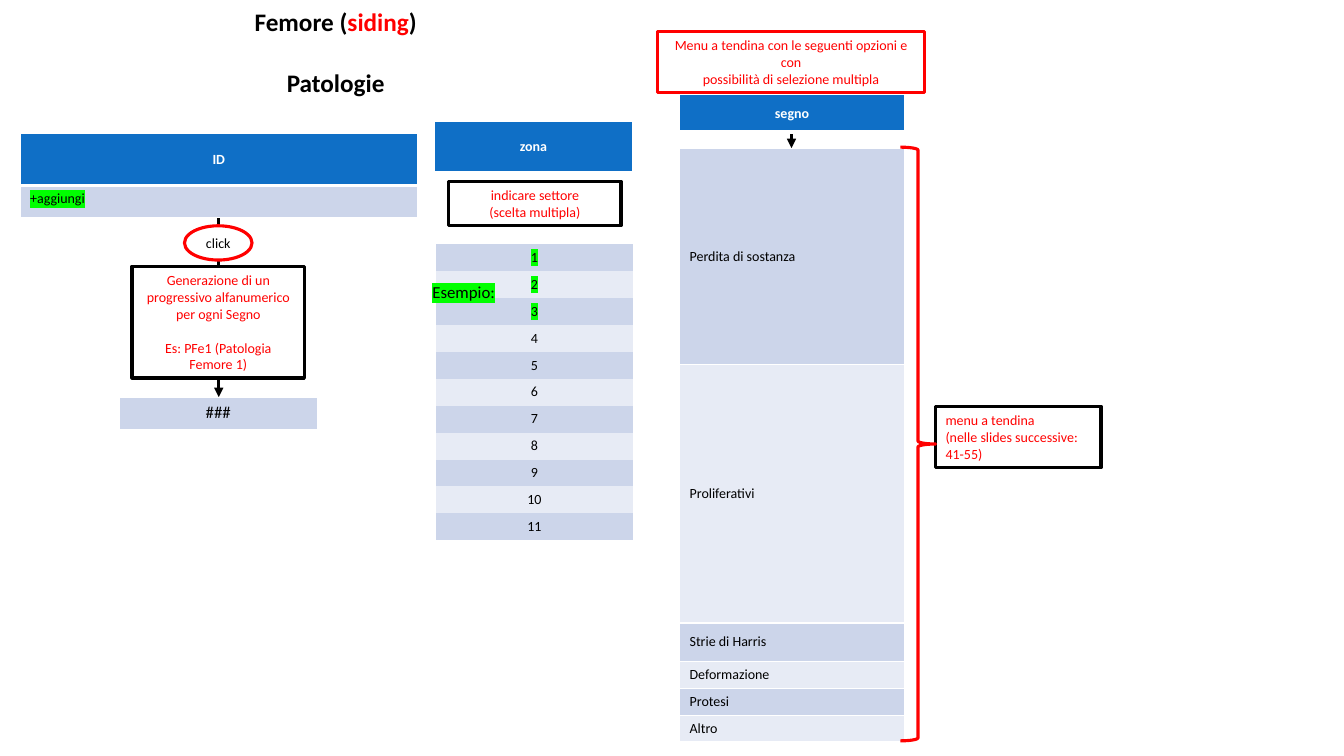
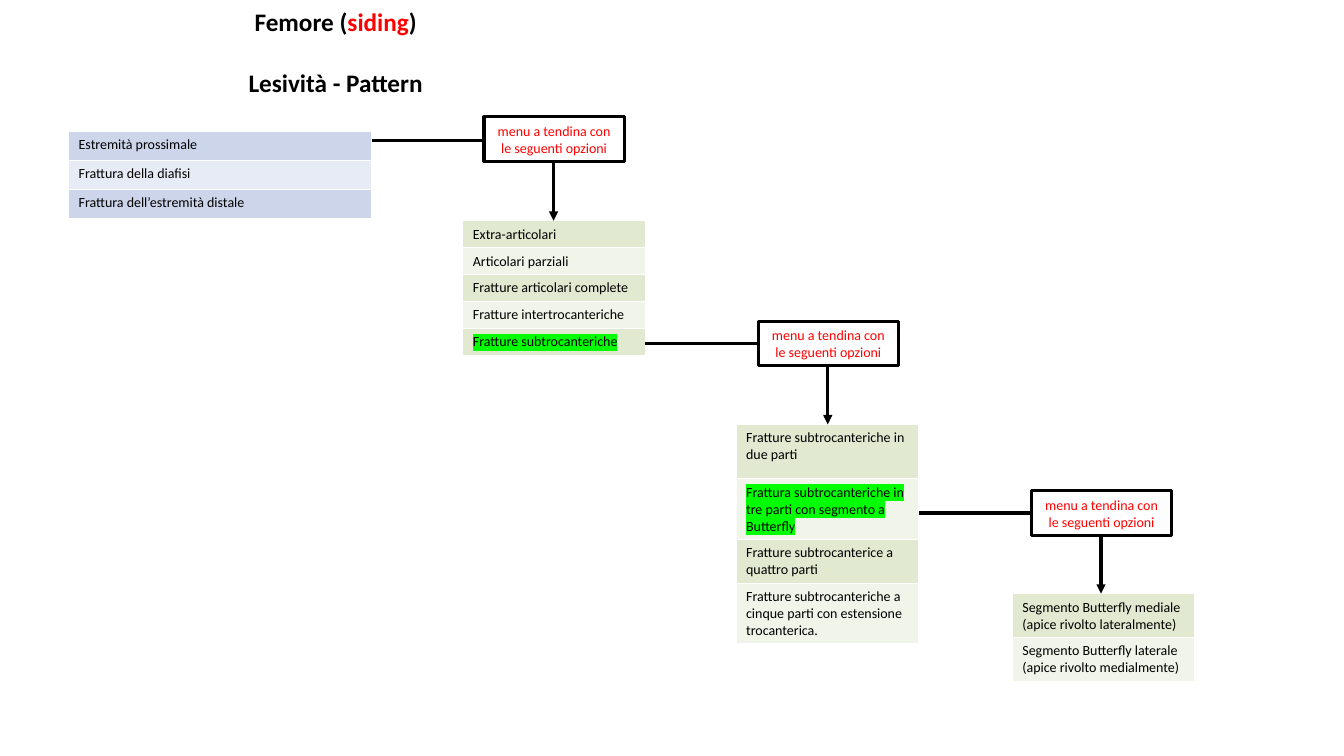
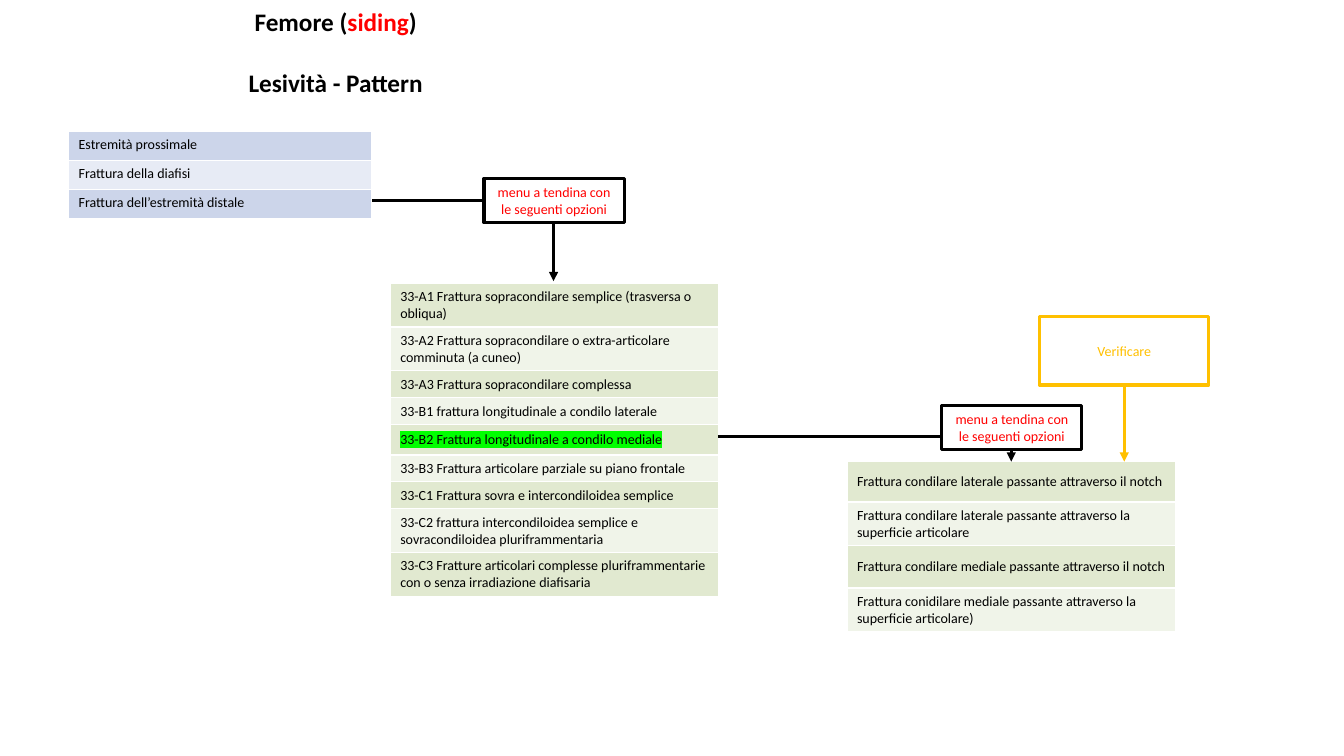
from lxml import etree
from pptx import Presentation, util as u
from pptx.dml.color import RGBColor
from pptx.enum import shapes, text
from pptx.oxml.ns import qn

PX = 9144  # EMU per px, 100 px to the inch
FONT = "Calibri"
BLACK = RGBColor(0x00, 0x00, 0x00)
WHITE = RGBColor(0xFF, 0xFF, 0xFF)
RED = RGBColor(0xFF, 0x00, 0x00)
AMBER = RGBColor(0xFF, 0xC0, 0x00)
HEADER = RGBColor(0x0F, 0x6F, 0xC6)
MARKER = RGBColor(0x00, 0xFF, 0x00)
BLUES = RGBColor(0xCC, 0xD5, 0xEA), RGBColor(0xE7, 0xEB, 0xF5)
GREENS = RGBColor(0xE1, 0xE9, 0xD0), RGBColor(0xF0, 0xF4, 0xE9)
NO_STYLE = "{2D5ABB26-0587-4C30-8999-92F81FD0307C}"
LEFT, CENTER = text.PP_ALIGN.LEFT, text.PP_ALIGN.CENTER
TOP, MIDDLE = text.MSO_ANCHOR.TOP, text.MSO_ANCHOR.MIDDLE
RECT, ELLIPSE = shapes.MSO_SHAPE.RECTANGLE, shapes.MSO_SHAPE.OVAL

# Tables: left, top, width, rows of (text, height), then format.
SITES = dict(at=(68, 130, 301), rows=[
    ("Estremità prossimale", 29),
    ("Frattura della diafisi", 29),
    ("Frattura dell’estremità distale", 29)], anchor=TOP)

PATHOLOGY_TABLES = [
    dict(at=(20, 132, 394), rows=[("ID", 52), ("+aggiungi", 32)],
         headers=1, anchor=TOP, marked=["+aggiungi"]),
    dict(at=(118, 394, 197), rows=[("###", 32)], align=CENTER, size=12),
    dict(at=(674, 147, 223), rows=[
        ("Perdita di sostanza", 215), ("Proliferativi", 256), ("Strie di Harris", 38),
        ("Deformazione", 26), ("Protesi", 26), ("Altro", 26)]),
    dict(at=(432, 242, 196), rows=[(str(n), 26) for n in range(1, 12)],
         align=CENTER, border=0, marked=["1", "2", "3"]),
    dict(at=(431, 120, 196), rows=[("zona", 52)], headers=1),
    dict(at=(674, 94, 223), rows=[("segno", 37)], headers=1),
]
PATHOLOGY_ARROWS = [((785, 92), (785, 147)), ((217, 216), (217, 394))]
PATHOLOGY_BOXES = [
    dict(at=(652, 31, 265, 61), line=RED, lines=[
        "Menu a tendina con le seguenti opzioni e con",
        "possibilità di selezione multipla"]),
    dict(at=(928, 403, 164, 61), align=LEFT, fill=None, lines=[
        "menu a tendina", "(nelle slides successive: 41-55)"]),
    dict(at=(445, 180, 171, 44), lines=["indicare settore", "(scelta multipla)"]),
    dict(at=(131, 264, 171, 111), gap=12.2, lines=[
        "Generazione di un progressivo alfanumerico per ogni Segno",
        "Es: PFe1 (Patologia Femore 1)"]),
    dict(at=(183, 224, 67, 34), kind=ELLIPSE, line=RED, color=BLACK, lines=["click"]),
]
BRACE = (893, 146, 35, 589)
EXAMPLE = (419, 275, 126, 30)

PROXIMAL_TABLES = [
    SITES,
    dict(at=(730, 421, 181), fills=GREENS, anchor=TOP, rows=[
        ("Fratture subtrocanteriche in due parti", 54),
        ("Frattura subtrocanteriche in tre parti con segmento a Butterfly", 57),
        ("Fratture subtrocanterice a quattro parti", 42),
        ("Fratture subtrocanteriche a cinque parti con estensione trocanterica.", 57)],
        marked=["Frattura subtrocanteriche in tre parti con segmento a Butterfly"]),
    dict(at=(459, 219, 181), fills=GREENS, rows=[
        ("Extra-articolari", 26),
        ("Articolari parziali", 26),
        ("Fratture articolari complete", 26),
        ("Fratture intertrocanteriche", 26),
        ("Fratture subtrocanteriche", 26)],
        marked=["Fratture subtrocanteriche"]),
    dict(at=(1004, 589, 181), fills=GREENS, anchor=TOP, rows=[
        ("Segmento Butterfly mediale (apice rivolto lateralmente)", 42),
        ("Segmento Butterfly laterale (apice rivolto medialmente)", 42)]),
]
# Menus: start of the link, its end, and how far the box sits above the link.
PROXIMAL_MENUS = [((369, 139), (549, 219), 1), ((640, 341), (821, 421), 0),
                  ((912, 509), (1092, 589), 0)]

DISTAL_TABLES = [
    SITES,
    dict(at=(387, 281, 326), fills=GREENS, rows=[
        ("33-A1 Frattura sopracondilare semplice (trasversa o obliqua)", 42),
        ("33-A2 Frattura sopracondilare o extra-articolare comminuta (a cuneo)", 42),
        ("33-A3 Frattura sopracondilare complessa", 26),
        ("33-B1 frattura longitudinale a condilo laterale", 26),
        ("33-B2 Frattura longitudinale a condilo mediale", 30),
        ("33-B3 Frattura articolare parziale su piano frontale", 26),
        ("33-C1 Frattura sovra e intercondiloidea semplice", 26),
        ("33-C2 frattura intercondiloidea semplice e sovracondiloidea pluriframmentaria", 42),
        ("33-C3 Fratture articolari complesse pluriframmentarie con o senza "
         "irradiazione diafisaria", 42)],
        marked=["33-B2 Frattura longitudinale a condilo mediale"]),
    dict(at=(840, 458, 326), fills=GREENS, rows=[
        ("Frattura condilare laterale passante attraverso il notch", 40),
        ("Frattura condilare laterale passante attraverso la superficie articolare", 42),
        ("Frattura condilare mediale passante attraverso il notch", 42),
        ("Frattura conidilare mediale passante attraverso la superficie articolare)", 42)]),
]
DISTAL_MENUS = [((369, 199), (549, 279), 0), ((712, 433), (1003, 458), 9)]
CHECK_BOX = dict(at=(1031, 314, 168, 68), line=AMBER, color=AMBER, fill=None,
                 lines=["Verificare"])
CHECK_ARROW = (1115, 382), (1115, 458)


def emu(*lengths):
    return [u.Emu(length * PX) for length in lengths]


def write(para, words, color=BLACK, size=10, bold=False, marked=False):
    span = para.add_run()
    span.text = words
    for name, value in dict(name=FONT, size=u.Pt(size), bold=bold).items():
        setattr(span.font, name, value)
    span.font.color.rgb = color
    if marked:
        highlight = etree.Element(qn("a:highlight"))
        etree.SubElement(highlight, qn("a:srgbClr"), val=str(MARKER))
        span.font.fill._xPr.find(qn("a:solidFill")).addnext(highlight)


def add_paragraphs(frame, lines, align=CENTER, gap=0):
    """Yield each line with its paragraph; gap is the space between them."""
    for index, line in enumerate(lines):
        para = frame.add_paragraph() if index else frame.paragraphs[0]
        para.alignment = align
        if index and gap:
            para.space_before = u.Pt(gap)
        yield para, line


def add_title(page, subject):
    box = page.shapes.add_textbox(*emu(0, 1, 666, 101))
    box.text_frame.word_wrap = True
    heading = [("Femore (", BLACK), ("siding", RED), (")", BLACK)]
    for para, spans in add_paragraphs(box.text_frame, [heading, [(subject, BLACK)]], gap=22):
        for words, color in spans:
            write(para, words, color, 18, True)


def set_borders(cell, bottom):
    props = cell._tc.get_or_add_tcPr()
    for index, (side, width) in enumerate(dict(lnL=1, lnR=1, lnT=1, lnB=bottom).items()):
        line = etree.Element(qn(f"a:{side}"), w=str(u.Pt(width)))
        fill = etree.SubElement(line, qn("a:solidFill"))
        etree.SubElement(fill, qn("a:srgbClr"), val=str(WHITE))
        props.insert(index, line)


def add_table(page, at, rows, fills=BLUES, headers=0, align=LEFT, anchor=MIDDLE,
              size=10, border=1, marked=()):
    height = sum(row[1] for row in rows)
    table = page.shapes.add_table(len(rows), 1, *emu(*at, height)).table
    table.first_row = table.horz_banding = False
    table._tbl.tblPr.find(qn("a:tableStyleId")).text = NO_STYLE
    for index, (words, height) in enumerate(rows):
        header = index < headers
        table.rows[index].height = emu(height)[0]
        cell = table.cell(index, 0)
        cell.fill.solid()
        cell.fill.fore_color.rgb = HEADER if header else fills[(index - headers) % 2]
        cell.vertical_anchor = MIDDLE if header else anchor
        if border:
            set_borders(cell, 3 if header else border)
        para = cell.text_frame.paragraphs[0]
        para.alignment = CENTER if header else align
        write(para, words, WHITE if header else BLACK, size, header, words in marked)


def add_outline(page, kind, at, line, fill=None):
    shape = page.shapes.add_shape(kind, *emu(*at))
    shape.shadow.inherit = False
    shape.line.color.rgb = line
    shape.line.width = u.Pt(2.25)
    if fill is None:
        shape.fill.background()
    else:
        shape.fill.solid()
        shape.fill.fore_color.rgb = fill
    return shape


def add_box(page, at, lines, kind=RECT, line=BLACK, fill=WHITE, color=RED,
            align=CENTER, gap=0):
    frame = add_outline(page, kind, at, line, fill).text_frame
    frame.word_wrap = True
    frame.vertical_anchor = MIDDLE
    for para, words in add_paragraphs(frame, lines, align, gap):
        write(para, words, color)


def add_arrow(page, start, end, color=BLACK, bent=False):
    kind = shapes.MSO_CONNECTOR.ELBOW if bent else shapes.MSO_CONNECTOR.STRAIGHT
    arrow = page.shapes.add_connector(kind, *emu(*start, *end))
    arrow.line.color.rgb = color
    arrow.line.width = u.Pt(2.25)
    props = arrow._element.spPr
    if bent:
        props.find(qn("a:prstGeom")).set("prst", "bentConnector2")
    etree.SubElement(props.find(qn("a:ln")), qn("a:tailEnd"), type="triangle")
    etree.SubElement(props, qn("a:effectLst"))


def add_menu(page, start, end, lift):
    """Draw a link that turns down, with the menu box on its corner."""
    width, height = 139, 44
    add_arrow(page, start, end, bent=True)
    add_box(page, (end[0] - width // 2, start[1] - height // 2 - lift, width, height),
            ["menu a tendina con le seguenti opzioni"])


def add_page(deck, subject):
    page = deck.slides.add_slide(deck.slide_layouts[6])
    add_title(page, subject)
    return page


def add_pathology(deck):
    page = add_page(deck, "Patologie")
    for arrow in PATHOLOGY_ARROWS:
        add_arrow(page, *arrow)
    for table in PATHOLOGY_TABLES:
        add_table(page, **table)
    for box in PATHOLOGY_BOXES:
        add_box(page, **box)
    add_outline(page, shapes.MSO_SHAPE.RIGHT_BRACE, BRACE, RED)
    example = page.shapes.add_textbox(*emu(*EXAMPLE)).text_frame
    example.word_wrap = True
    write(example.paragraphs[0], "Esempio:", size=12, marked=True)


def add_pattern(deck, tables, menus):
    page = add_page(deck, "Lesività - Pattern")
    for table in tables:
        add_table(page, **table)
    for menu in menus:
        add_menu(page, *menu)
    return page


def main():
    deck = Presentation()
    deck.slide_width, deck.slide_height = emu(1333, 750)
    add_pathology(deck)
    add_pattern(deck, PROXIMAL_TABLES, PROXIMAL_MENUS)
    distal = add_pattern(deck, DISTAL_TABLES, DISTAL_MENUS)
    add_box(distal, **CHECK_BOX)
    add_arrow(distal, *CHECK_ARROW, color=AMBER)
    deck.save("out.pptx")


if __name__ == "__main__":
    main()
